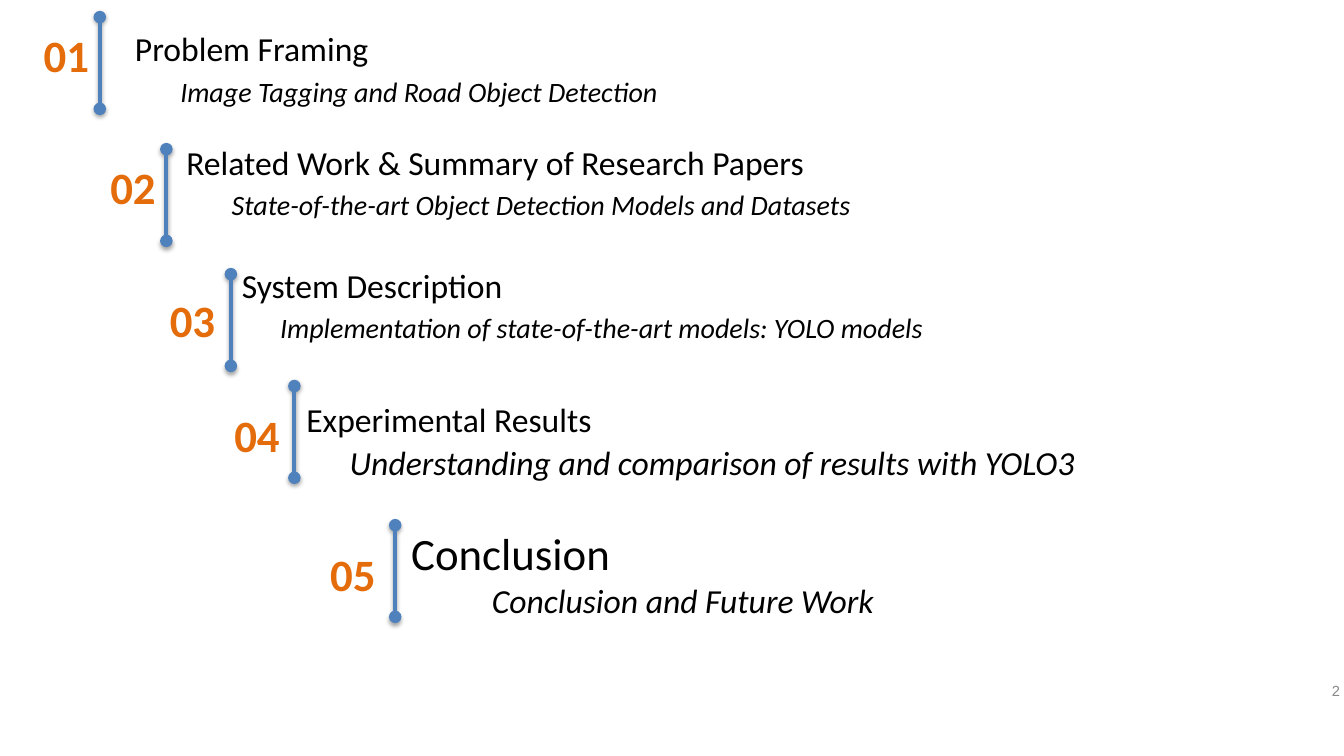
from lxml import etree
from pptx import Presentation
from pptx.dml.color import RGBColor
from pptx.enum import shapes, text
from pptx.oxml import ns
from pptx.util import Inches, Pt

BLUE = RGBColor(0x4F, 0x81, 0xBD)
ORANGE = RGBColor(0xE4, 0x6C, 0x0A)
BLACK = RGBColor(0, 0, 0)
GRAY = RGBColor(0x88, 0x88, 0x88)

# heading, its size, detail, its size, gap between them (pt), detail indent,
# (x, y) of number box, of bar top and of text box, in inches
SECTIONS = [
    ("Problem Framing", 24, "Image Tagging and Road Object Detection", 20, 4, 0.45,
     (0.33, 0.23), (0.99, 0.17), (1.24, 0.23)),
    ("Related Work & Summary of Research Papers", 24,
     "State-of-the-art Object Detection Models and Datasets", 20, 4, 0.45,
     (0.99, 1.54), (1.65, 1.48), (1.75, 1.36)),
    ("System Description", 24,
     "Implementation of state-of-the-art models: YOLO models", 20, 4, 0.38,
     (1.58, 2.85), (2.29, 2.72), (2.3, 2.58)),
    ("Experimental Results", 24,
     "Understanding and comparison of results with YOLO3", 24, 2, 0.43,
     (2.22, 4.0), (2.92, 3.83), (2.94, 3.91)),
    ("Conclusion", 32, "Conclusion and Future Work", 24, 0, 0.8,
     (3.17, 5.37), (3.92, 5.21), (3.98, 5.17)),
]
BAR_HEIGHT = 0.91
NUMBER_SIZE = (0.66, 0.64)
TEXT_SIZE = (8.74, 0.95)


def add_text_box(slide, position, size, lines):
    box = slide.shapes.add_textbox(*(Inches(v) for v in (*position, *size)))
    frame = box.text_frame
    frame.word_wrap = True
    frame.text = "\n".join(lines)
    return frame


def style(paragraph, size, color, font="Calibri", bold=False, italic=False):
    for run in paragraph.runs:
        run.font.name = font
        run.font.size = Pt(size)
        run.font.color.rgb = color
        run.font.bold = bold
        run.font.italic = italic


def add_bar(slide, x, y):
    """Vertical line with round ends and a soft shadow below."""
    bar = slide.shapes.add_connector(
        shapes.MSO_CONNECTOR.STRAIGHT,
        Inches(x), Inches(y), Inches(x), Inches(y + BAR_HEIGHT))
    bar.line.color.rgb = BLUE
    bar.line.width = Pt(3)
    line = bar.line._get_or_add_ln()
    for end in ("a:headEnd", "a:tailEnd"):
        etree.SubElement(line, ns.qn(end), type="oval")
    effects = etree.SubElement(bar._element.spPr, ns.qn("a:effectLst"))
    shadow = etree.SubElement(
        effects, ns.qn("a:outerShdw"), blurRad=str(Pt(3.1)), dist=str(Pt(1.8)),
        dir="5400000", rotWithShape="0")
    color = etree.SubElement(shadow, ns.qn("a:srgbClr"), val="000000")
    etree.SubElement(color, ns.qn("a:alpha"), val="35000")


def add_section(slide, number, section):
    heading, heading_size, detail, detail_size, gap, indent, number_at, bar_at, text_at = section
    add_bar(slide, *bar_at)

    label = add_text_box(slide, number_at, NUMBER_SIZE, [f"{number:02}"]).paragraphs[0]
    label.alignment = text.PP_ALIGN.CENTER
    style(label, 32, ORANGE, bold=True)

    first, second = add_text_box(slide, text_at, TEXT_SIZE, [heading, detail]).paragraphs
    style(first, heading_size, BLACK)
    second._p.get_or_add_pPr().set("marL", str(Inches(indent)))
    second.space_before = Pt(gap)
    style(second, detail_size, BLACK, italic=True)


def add_page_number(slide):
    frame = add_text_box(slide, (13.21, 6.76), (0.12, 0.16), ["2"])
    frame.word_wrap = False
    frame.margin_left = frame.margin_right = frame.margin_top = frame.margin_bottom = 0
    style(frame.paragraphs[0], 10.5, GRAY, font="Arial")


def main():
    presentation = Presentation()
    presentation.slide_width = Inches(13.33)
    presentation.slide_height = Inches(7.5)
    slide = presentation.slides.add_slide(presentation.slide_layouts[6])
    for number, section in enumerate(SECTIONS, 1):
        add_section(slide, number, section)
    add_page_number(slide)
    presentation.save("out.pptx")


if __name__ == "__main__":
    main()
